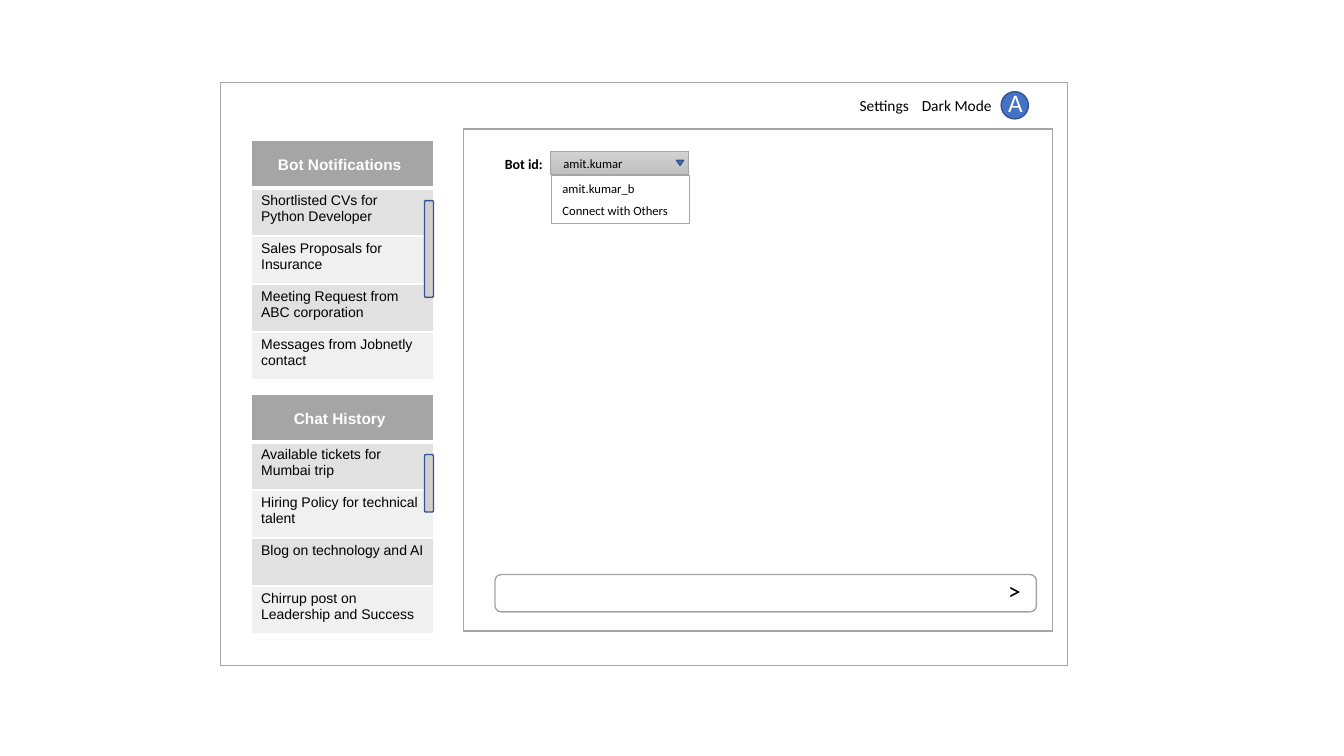
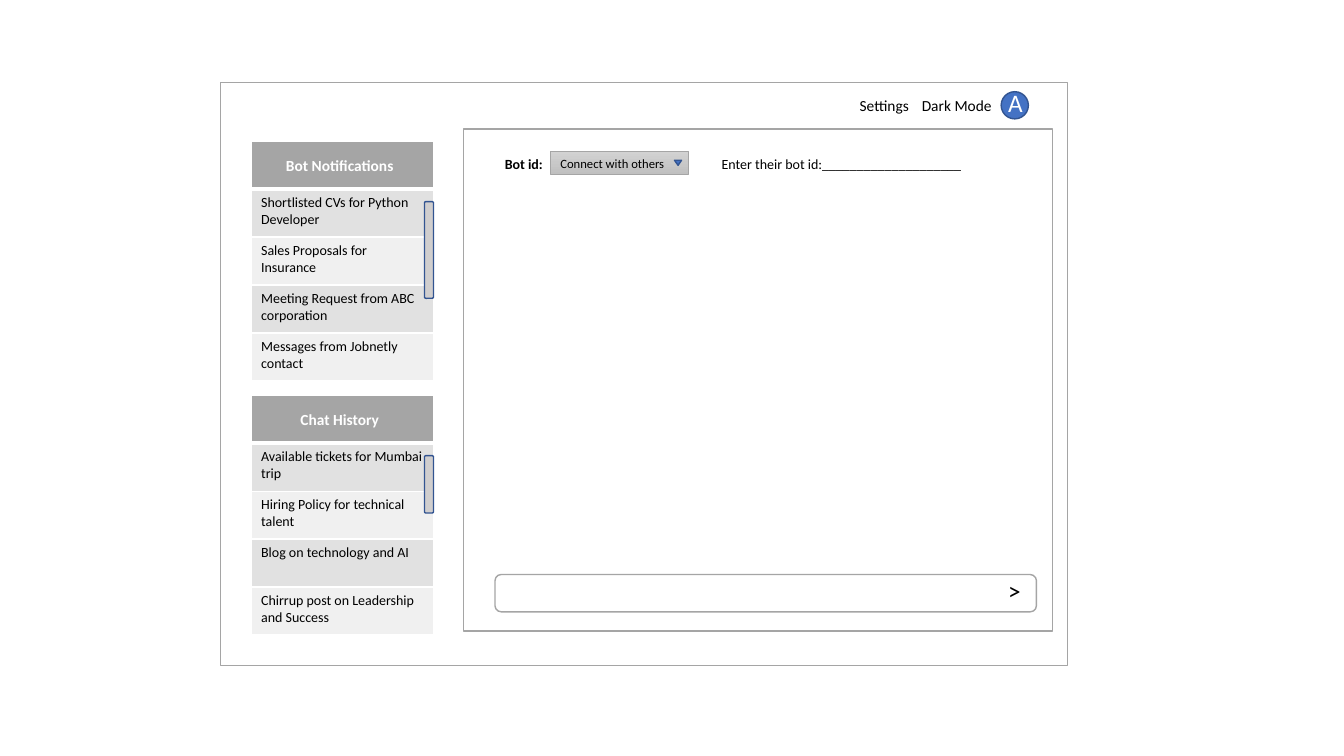
"""Build two wireframes of a chat bot screen."""
from lxml import etree
from pptx import Presentation
from pptx.dml.color import RGBColor
from pptx.enum.shapes import MSO_SHAPE
from pptx.enum.text import MSO_AUTO_SIZE, PP_ALIGN
from pptx.oxml.ns import qn
from pptx.util import Inches, Pt

RECT, ROUND = MSO_SHAPE.RECTANGLE, MSO_SHAPE.ROUNDED_RECTANGLE
OVAL, WEDGE = MSO_SHAPE.OVAL, MSO_SHAPE.ISOSCELES_TRIANGLE
GROW = MSO_AUTO_SIZE.SHAPE_TO_FIT_TEXT
LEFT, CENTER = PP_ALIGN.LEFT, PP_ALIGN.CENTER

WHITE, BLACK = RGBColor(255, 255, 255), RGBColor(0, 0, 0)
GRAY, SILVER = RGBColor(0xA5, 0xA5, 0xA5), RGBColor(0xD0, 0xCE, 0xCE)
BLUE, NAVY = RGBColor(0x44, 0x72, 0xC4), RGBColor(0x32, 0x54, 0x91)
BANDS = RGBColor(0xE1, 0xE1, 0xE1), RGBColor(0xF0, 0xF0, 0xF0)
SHADES = RGBColor(0xD2, 0xD2, 0xD2), RGBColor(0xC0, 0xC0, 0xC0)

FRAME = 2.19, 0.82, 8.4, 5.78
CHAT = 4.6, 1.28, 5.84, 4.98
LISTS = [
    ("Bot Notifications", 0, 0.96, [
        "Shortlisted CVs for Python Developer",
        "Sales Proposals for Insurance",
        "Meeting Request from ABC corporation",
        "Messages from Jobnetly contact"]),
    ("Chat History", 2.52, 0.57, [
        "Available tickets for Mumbai trip",
        "Hiring Policy for technical talent",
        "Blog on technology and AI",
        "Chirrup post on Leadership and Success"]),
]


def style(para, text, size=10, font="Calibri", color=BLACK, bold=False,
          align=LEFT):
    """Write formatted text into a paragraph."""
    para.alignment = align
    run = para.add_run()
    run.text = text
    run.font.size, run.font.name = Pt(size), font
    run.font.bold, run.font.color.rgb = bold, color


def label(slide, box, text, **form):
    """Add a text box that wraps and grows."""
    frame = slide.shapes.add_textbox(*map(Inches, box)).text_frame
    frame.word_wrap, frame.auto_size = True, GROW
    style(frame.paragraphs[0], text, **form)


def shape(slide, kind, box, fill=WHITE, line=GRAY, width=1):
    """Add a flat shape with a fill and an outline."""
    item = slide.shapes.add_shape(kind, *map(Inches, box))
    item.shadow.inherit = False
    item.fill.solid()
    item.fill.fore_color.rgb = fill
    item.line.color.rgb, item.line.width = line, Pt(width)
    return item


def edge(cell, **widths):
    """Draw white cell borders of the given widths."""
    props = cell._tc.get_or_add_tcPr()
    for side in "LRTB":
        line = etree.SubElement(props, qn("a:ln" + side),
                                w=str(Pt(widths.get(side, 1))))
        fill = etree.SubElement(line, qn("a:solidFill"))
        etree.SubElement(fill, qn("a:srgbClr"), val=str(WHITE))


def panel(slide, box, title, items, bar, font):
    """Place a titled list with a scroll bar."""
    x, y, w, h = box
    count = len(items) + 1
    table = slide.shapes.add_table(count, 1, *map(Inches, box)).table
    for n, text in enumerate([""] + items):
        table.rows[n].height = Inches(h / count)
        cell = table.cell(n, 0)
        edge(cell, B=1 if n else 3, T=3 if n == 1 else 1)
        cell.fill.solid()
        cell.fill.fore_color.rgb = BANDS[(n - 1) % 2] if n else GRAY
        if text:
            style(cell.text_frame.paragraphs[0], text, font=font)
    label(slide, (x + 0.04, y + 0.1, 1.68, 0.29), title, size=11, font=font,
          color=WHITE, bold=True, align=CENTER)
    shape(slide, ROUND, (x + w - 0.09, y + 0.6, 0.09, bar), SILVER, NAVY)


def menu(slide, box):
    """Place the links and the user badge at the top right."""
    x, y, w, _ = box
    right = x + w
    shape(slide, OVAL, (right - 0.66, y + 0.09, 0.27, 0.27), BLUE, NAVY)
    for text, back, wide in (("Settings", 2.18, 0.72),
                             ("Dark Mode", 1.63, 1.06)):
        label(slide, (right - back, y + 0.08, wide, 0.29), text, size=11,
              align=CENTER)
    label(slide, (right - 0.69, y, 0.46, 0.4), "A", size=18, color=WHITE)


def entry(slide, box):
    """Place the message field at the foot of the chat area."""
    x, y, w, h = box
    shape(slide, ROUND, (x + 0.31, y + h - 0.56, 5.37, 0.37))
    label(slide, (x + w - 0.54, y + h - 0.6, 0.3, 0.4), ">", size=18)


def picker(slide, box, text, inset=0, tip=1.25):
    """Place the bot choice field."""
    x, y, w, h = box
    label(slide, (x - 0.64, y - 0.01, 0.75, 0.27), "Bot id:", bold=True,
          align=CENTER)
    field = shape(slide, RECT, box, width=0.5)
    field.fill.gradient()
    field.fill.gradient_angle = 270
    for stop, shade in zip(field.fill.gradient_stops, SHADES):
        stop.color.rgb = shade
    label(slide, (x + inset, y, 1.26, 0.25), text, size=9)
    arrow = shape(slide, WEDGE, (x + tip, y + 0.09, 0.07, 0.05), BLUE, NAVY)
    arrow.rotation = 180


def choices(slide, box, items):
    """Place the open list of choices."""
    x, y, _, _ = box
    shape(slide, RECT, box)
    for n, text in enumerate(items):
        label(slide, (x + 0.01, y + 0.01 + 0.21 * n, 1.26, 0.25), text,
              size=9)


def screen(deck, font, top):
    """Add a slide with the parts that every screen shares."""
    slide = deck.slides.add_slide(deck.slide_layouts[6])
    shape(slide, RECT, FRAME)
    shape(slide, RECT, CHAT)
    menu(slide, FRAME)
    entry(slide, CHAT)
    for title, drop, bar, items in LISTS:
        panel(slide, (FRAME[0] + 0.3, top + drop, 1.81, 2.38), title, items,
              bar, font)
    return slide


def main():
    """Build and save both screens."""
    deck = Presentation()
    deck.slide_width, deck.slide_height = Inches(13.33), Inches(7.5)
    x, y = CHAT[0] + 0.86, CHAT[1] + 0.22
    field = x, y, 1.37, 0.23

    opened = screen(deck, "Arial", 1.39)
    picker(opened, field, "amit.kumar", inset=0.03)
    choices(opened, (x + 0.01, y + 0.24, 1.37, 0.48),
            ["amit.kumar_b", "Connect with Others"])

    joined = screen(deck, "Calibri", 1.4)
    picker(joined, field, "Connect with others", tip=1.23)
    label(joined, (x + 1.6, y - 0.01, 2.6, 0.27),
          "Enter their bot id:" + "_" * 20)
    deck.save("out.pptx")


main()
